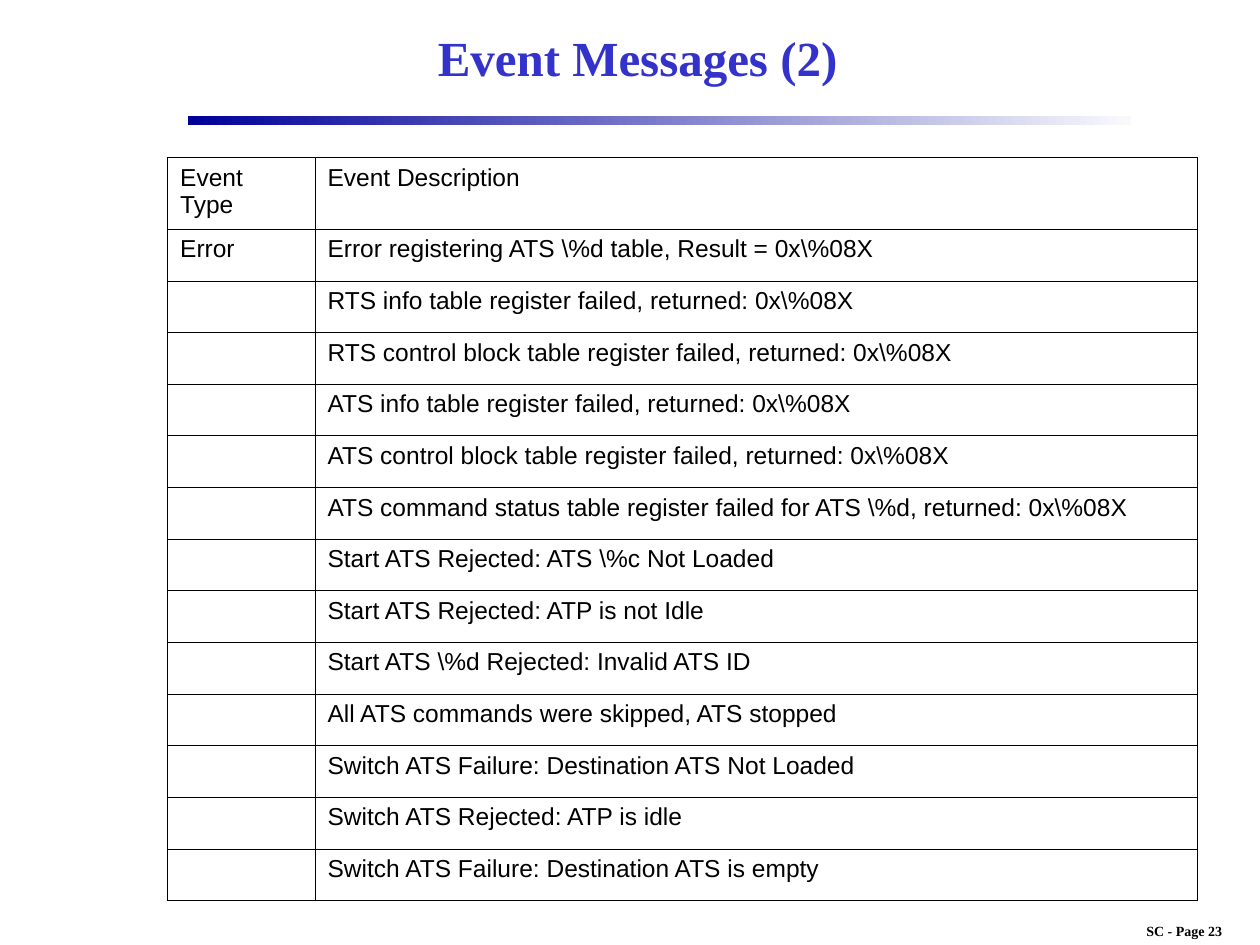
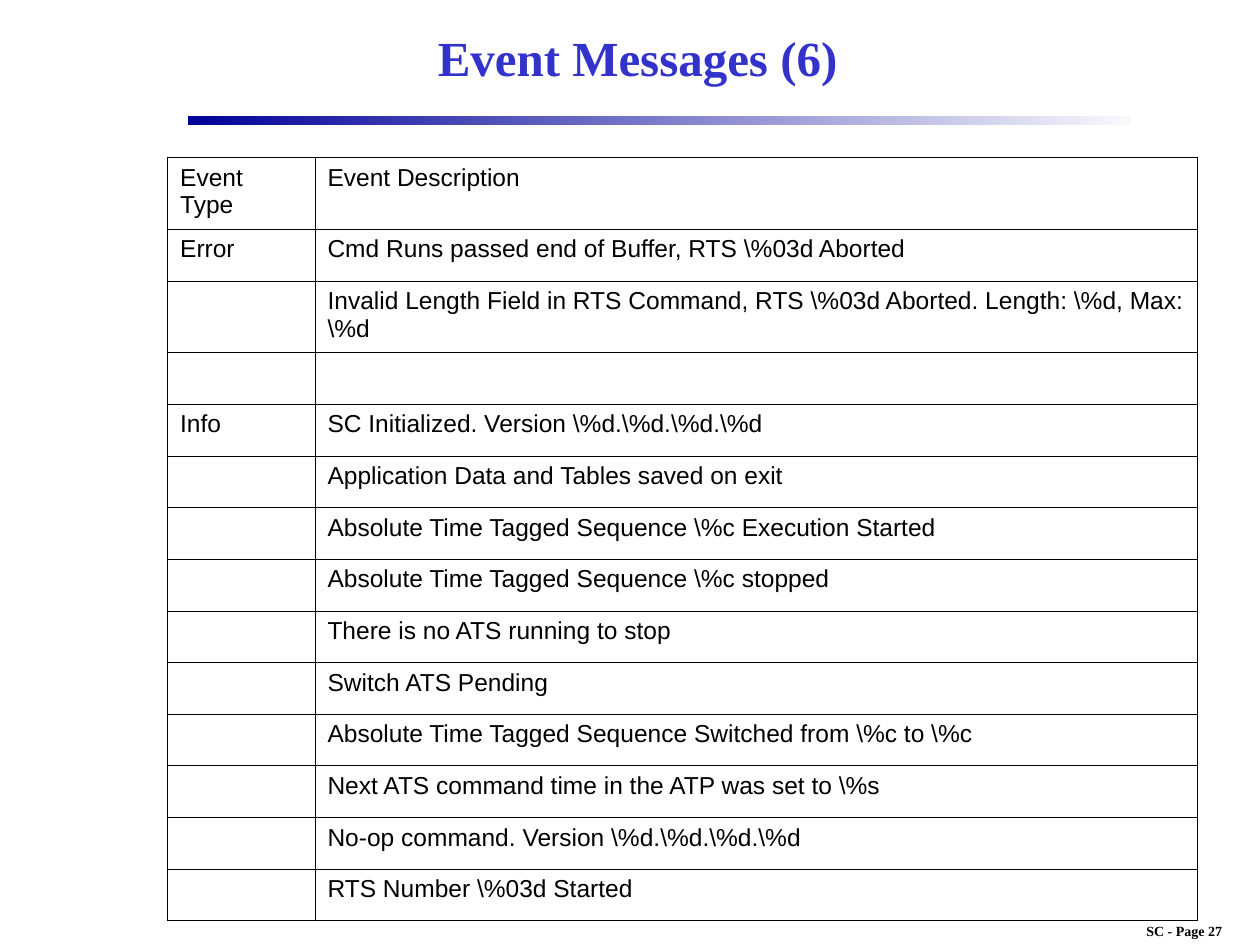
from dataclasses import dataclass

from pptx import Presentation
from pptx.dml.color import RGBColor as RGB
from pptx.enum.shapes import MSO_SHAPE as SHAPE
from pptx.enum.text import MSO_ANCHOR as ANCHOR, MSO_AUTO_SIZE as AUTO, PP_ALIGN as ALIGN
from pptx.oxml import parse_xml
from pptx.oxml.ns import nsdecls
from pptx.util import Inches, Pt


@dataclass(frozen=True)
class Theme:
    title_font: str = "Times New Roman"
    body_font: str = "Arial"
    title_color: str = "3333CC"
    text_color: str = "000000"
    border_color: str = "000000"
    rule_colors: tuple = ("000099", "F9F9FD")
    title_size: int = 28
    table_size: int = 14
    footer_size: int = 8
    border_width: float = 0.45


THEME = Theme()
COLUMN_WIDTHS = (1.17, 7)
ROW_HEIGHT = 0.41
TWO_LINE_HEIGHT = 0.57
HEADER = ("Event Type", "Event Description")

# Each slide: number in the series, page, rows that wrap to two lines, events
SLIDES = [
    (2, 23, {0}, [
        ("Error", r"Error registering ATS \%d table, Result = 0x\%08X"),
        ("", r"RTS info table register failed, returned: 0x\%08X"),
        ("", r"RTS control block table register failed, returned: 0x\%08X"),
        ("", r"ATS info table register failed, returned: 0x\%08X"),
        ("", r"ATS control block table register failed, returned: 0x\%08X"),
        ("", r"ATS command status table register failed for ATS \%d, returned: 0x\%08X"),
        ("", r"Start ATS Rejected: ATS \%c Not Loaded"),
        ("", "Start ATS Rejected: ATP is not Idle"),
        ("", r"Start ATS \%d Rejected: Invalid ATS ID"),
        ("", "All ATS commands were skipped, ATS stopped"),
        ("", "Switch ATS Failure: Destination ATS Not Loaded"),
        ("", "Switch ATS Rejected: ATP is idle"),
        ("", "Switch ATS Failure: Destination ATS is empty"),
    ]),
    (6, 27, {0, 2}, [
        ("Error", r"Cmd Runs passed end of Buffer, RTS \%03d Aborted"),
        ("", r"Invalid Length Field in RTS Command, RTS \%03d Aborted. Length: \%d, Max: \%d"),
        ("", ""),
        ("Info", r"SC Initialized. Version \%d.\%d.\%d.\%d"),
        ("", "Application Data and Tables saved on exit"),
        ("", r"Absolute Time Tagged Sequence \%c Execution Started"),
        ("", r"Absolute Time Tagged Sequence \%c stopped"),
        ("", "There is no ATS running to stop"),
        ("", "Switch ATS Pending"),
        ("", r"Absolute Time Tagged Sequence Switched from \%c to \%c"),
        ("", r"Next ATS command time in the ATP was set to \%s"),
        ("", r"No-op command. Version \%d.\%d.\%d.\%d"),
        ("", r"RTS Number \%03d Started"),
    ]),
]


def write(tf, text, *, font, size, color=THEME.text_color, bold=False,
          align=ALIGN.LEFT, anchor=None):
    if anchor is not None:
        tf.vertical_anchor = anchor
    p = tf.paragraphs[0]
    p.alignment = align
    r = p.add_run()
    r.text = text
    r.font.name = font
    r.font.size = Pt(size)
    r.font.bold = bold
    r.font.color.rgb = RGB.from_string(color)


def set_title(s, text):
    title = s.shapes.title
    title.left, title.top = Inches(1.53), Inches(0.08)
    title.width, title.height = Inches(7.06), Inches(0.75)
    write(title.text_frame, text, font=THEME.title_font, size=THEME.title_size,
          color=THEME.title_color, bold=True, align=ALIGN.CENTER, anchor=ANCHOR.MIDDLE)


def add_title_rule(s):
    sp = s.shapes.add_shape(SHAPE.RECTANGLE, Inches(1.49), Inches(0.92),
                            Inches(7.49), Inches(0.07))
    sp.shadow.inherit = False
    sp.line.fill.background()
    sp.fill.gradient()
    sp.fill.gradient_angle = 0
    for stop, position, color in zip(sp.fill.gradient_stops, (0, 1), THEME.rule_colors):
        stop.position = position
        stop.color.rgb = RGB.from_string(color)


def add_footer(s, page):
    box = s.shapes.add_textbox(Inches(8.8), Inches(7.27), Inches(1.2), Inches(0.23))
    tf = box.text_frame
    tf.word_wrap = False
    tf.auto_size = AUTO.SHAPE_TO_FIT_TEXT
    write(tf, f"SC - Page {page}", font=THEME.title_font, size=THEME.footer_size,
          bold=True, align=ALIGN.CENTER)


def set_borders(cell):
    """Draw a thin line on all four sides; lines must precede the cell's fill."""
    tc_pr = cell._tc.get_or_add_tcPr()
    for i, side in enumerate(("lnL", "lnR", "lnT", "lnB")):
        tc_pr.insert(i, parse_xml(
            f'<a:{side} {nsdecls("a")} w="{Pt(THEME.border_width)}"><a:solidFill>'
            f'<a:srgbClr val="{THEME.border_color}"/></a:solidFill></a:{side}>'))


def add_event_table(s, events, two_line_rows):
    rows = [HEADER, *events]
    heights = [TWO_LINE_HEIGHT if i in two_line_rows else ROW_HEIGHT
               for i in range(len(rows))]
    table = s.shapes.add_table(len(rows), len(HEADER), Inches(1.33), Inches(1.25),
                               Inches(sum(COLUMN_WIDTHS)), Inches(sum(heights))).table
    table.first_row = table.horz_banding = False
    for column, width in zip(table.columns, COLUMN_WIDTHS):
        column.width = Inches(width)
    for row, height, texts in zip(table.rows, heights, rows):
        row.height = Inches(height)
        for cell, text in zip(row.cells, texts):
            cell.fill.background()
            set_borders(cell)
            if text:
                write(cell.text_frame, text, font=THEME.body_font, size=THEME.table_size)


def main():
    prs = Presentation()
    prs.slide_width, prs.slide_height = Inches(10), Inches(7.5)
    title_only = prs.slide_layouts[5]
    for number, page, two_line_rows, events in SLIDES:
        s = prs.slides.add_slide(title_only)
        add_footer(s, page)
        add_title_rule(s)
        set_title(s, f"Event Messages ({number})")
        add_event_table(s, events, two_line_rows)
    prs.save("out.pptx")


if __name__ == "__main__":
    main()
